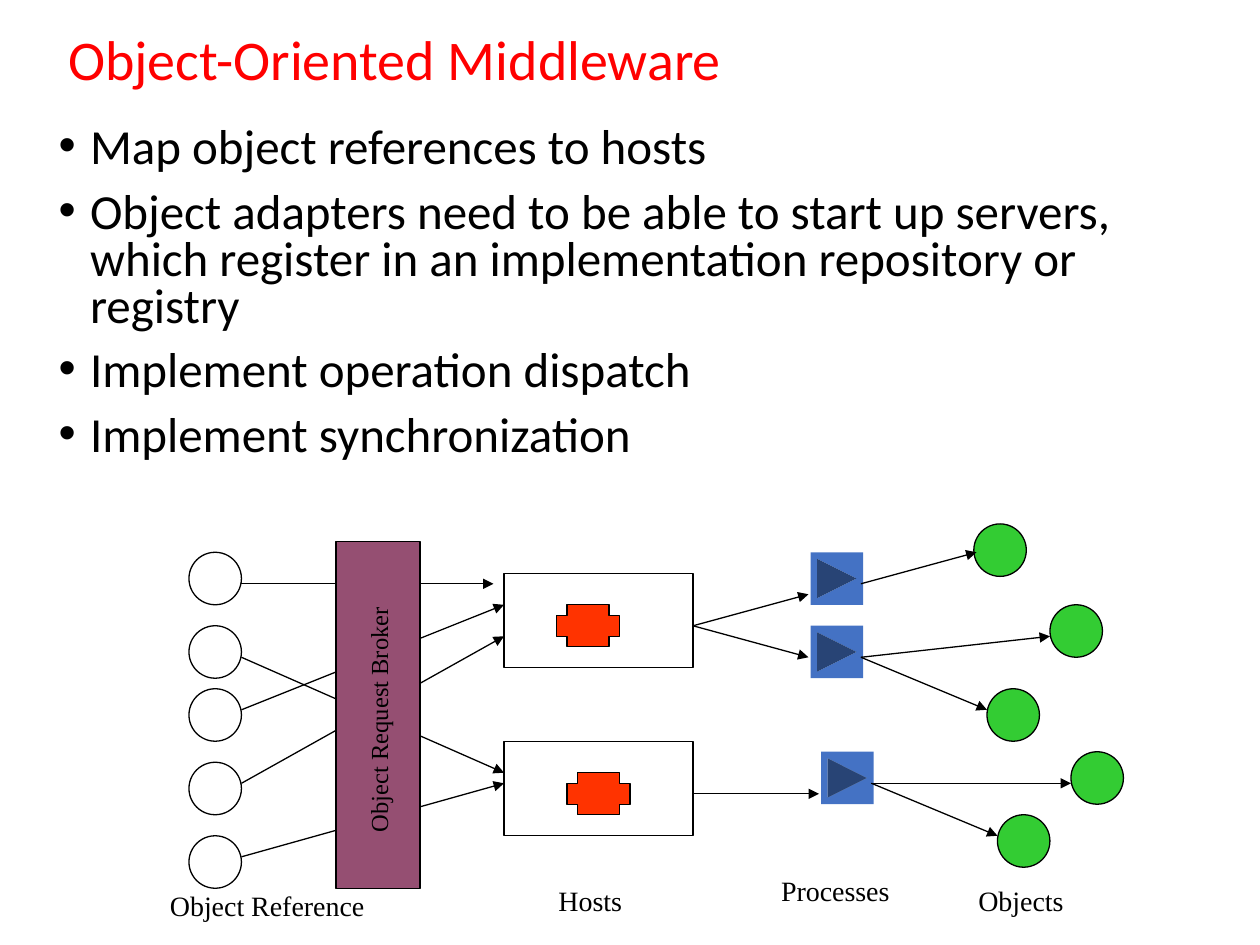
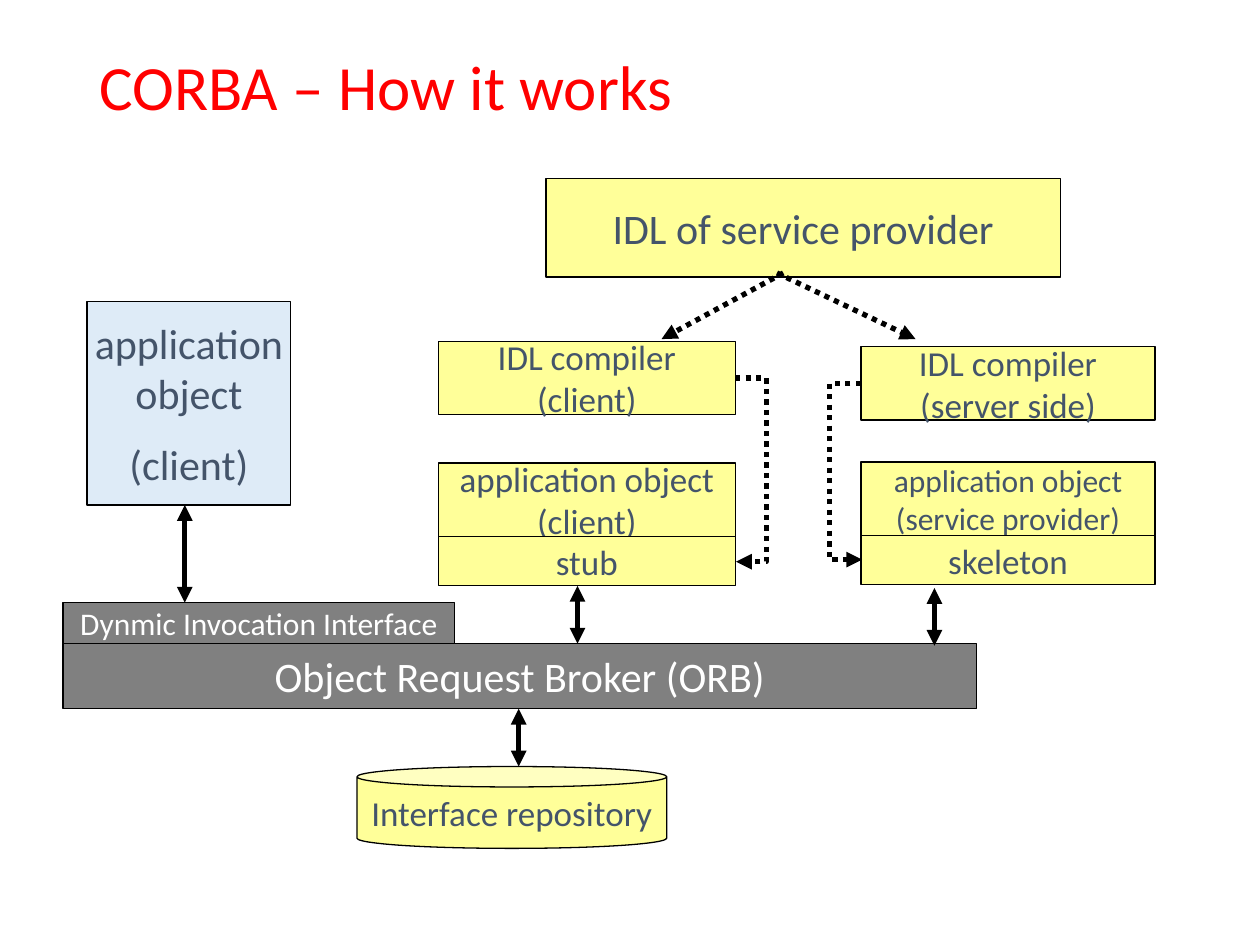
import dataclasses

import lxml.etree
import pptx
import pptx.dml.color
import pptx.enum.dml
import pptx.enum.shapes
import pptx.enum.text
import pptx.oxml.ns
import pptx.util

SHAPE = pptx.enum.shapes.MSO_SHAPE
CONNECTOR = pptx.enum.shapes.MSO_CONNECTOR
ALIGN = pptx.enum.text.PP_ALIGN
ANCHOR = pptx.enum.text.MSO_ANCHOR
Pt = pptx.util.Pt
qn = pptx.oxml.ns.qn


@dataclasses.dataclass(frozen=True)
class Theme:
    """Colours, fonts, type sizes and line widths of the deck."""
    title: str = "FF0000"
    ink: str = "000000"
    slate: str = "44546A"
    white: str = "FFFFFF"
    yellow: str = "FFFF99"
    pale_blue: str = "DEEBF7"
    grey: str = "808080"
    plum: str = "954F72"
    orange: str = "FF3300"
    green: str = "33CC33"
    blue: str = "4472C4"
    sans: str = "Calibri"
    serif: str = "Times New Roman"
    bullet: int = 28
    large: int = 24
    medium: int = 20
    small: int = 18
    caption: int = 16
    upright: int = 14
    thin: float = 0.75
    thick: float = 3


THEME = Theme()
CELL = pptx.util.Inches(1) / 12
COLUMNS, ROWS = 120, 90


@dataclasses.dataclass(frozen=True)
class Region:
    """A box on the slide, measured in grid columns and rows."""
    slide: object
    left: float
    top: float
    width: float
    height: float

    def point(self, col, row):
        """Convert a grid position in the region to slide lengths."""
        return round((self.left + col) * CELL), round((self.top + row) * CELL)

    def place(self, col, row, width, height):
        """Convert a grid box in the region to slide lengths."""
        return (*self.point(col, row), round(width * CELL), round(height * CELL))


def rgb(colour):
    """Turn a hex string into a colour."""
    return pptx.dml.color.RGBColor.from_string(colour)


def write(frame, paragraphs, size, colour, font=THEME.sans, align=ALIGN.LEFT,
          wrap=False, anchor=ANCHOR.MIDDLE, before=0, spacing=None):
    """Fill a text frame; each newline becomes a line break."""
    frame.word_wrap = wrap
    frame.vertical_anchor = anchor
    for index, text in enumerate(paragraphs):
        paragraph = frame.paragraphs[0] if index == 0 else frame.add_paragraph()
        paragraph.alignment = align
        paragraph.space_before = Pt(before)
        if spacing:
            paragraph.line_spacing = spacing
        for number, line in enumerate(text.split("\n")):
            if number:
                paragraph.add_line_break()
            run = paragraph.add_run()
            run.text = line
            run.font.size = Pt(size)
            run.font.name = font
            run.font.color.rgb = rgb(colour)


def draw(region, kind, box, fill=None, outlined=True):
    """Draw a preset shape in a region."""
    shape = region.slide.shapes.add_shape(kind, *region.place(*box))
    shape.shadow.inherit = False
    if fill:
        shape.fill.solid()
        shape.fill.fore_color.rgb = rgb(fill)
    else:
        shape.fill.background()
    if outlined:
        shape.line.color.rgb = rgb(THEME.ink)
        shape.line.width = Pt(THEME.thin)
    else:
        shape.line.fill.background()
    return shape


def block(region, box, paragraphs, size, fill=THEME.yellow, colour=THEME.slate,
          kind=SHAPE.RECTANGLE, before=0):
    """Draw a filled shape with centred text."""
    shape = draw(region, kind, box, fill)
    write(shape.text_frame, paragraphs, size, colour, align=ALIGN.CENTER, before=before)
    return shape


def caption(region, box, text, size=THEME.caption):
    """Place a serif label in a region."""
    label = region.slide.shapes.add_textbox(*region.place(*box))
    write(label.text_frame, [text], size, THEME.ink, THEME.serif, anchor=ANCHOR.TOP)
    return label


def arrow(region, start, end, width=THEME.thin, double=False, dotted=False, bend=None):
    """Draw an arrow, with an elbow at column bend when one is given."""
    kind = CONNECTOR.STRAIGHT if bend is None else CONNECTOR.ELBOW
    link = region.slide.shapes.add_connector(kind, *region.point(*start), *region.point(*end))
    link.line.color.rgb = rgb(THEME.ink)
    link.line.width = Pt(width)
    if dotted:
        link.line.dash_style = pptx.enum.dml.MSO_LINE.ROUND_DOT
    outline = link.get_or_add_ln()
    for tag in ("a:headEnd", "a:tailEnd") if double else ("a:tailEnd",):
        lxml.etree.SubElement(outline, qn(tag), type="triangle")
    properties = link.element.spPr
    lxml.etree.SubElement(properties, qn("a:effectLst"))
    if bend is not None:
        share = round((bend - start[0]) / (end[0] - start[0]) * 100000)
        guides = properties.find(qn("a:prstGeom")).find(qn("a:avLst"))
        lxml.etree.SubElement(guides, qn("a:gd"), name="adj1", fmla=f"val {share}")


def add_title(region, text, size):
    """Write the slide title across its region."""
    heading = region.slide.shapes.add_textbox(*region.place(0, 0, region.width, region.height))
    write(heading.text_frame, [text], size, THEME.title, wrap=True, spacing=0.9)


def add_bullets(region, points):
    """Write a bulleted list across its region."""
    listing = region.slide.shapes.add_textbox(*region.place(0, 0, region.width, region.height))
    write(listing.text_frame, points, THEME.bullet, THEME.ink, wrap=True,
          anchor=ANCHOR.TOP, before=10, spacing=0.8)
    indent = pptx.util.Inches(0.25)
    for paragraph in listing.text_frame.paragraphs:
        properties = paragraph.element.get_or_add_pPr() if hasattr(paragraph, "element") \
            else paragraph._p.get_or_add_pPr()
        properties.set("marL", str(indent))
        properties.set("indent", str(-indent))
        lxml.etree.SubElement(properties, qn("a:buFont"), typeface="Arial")
        lxml.etree.SubElement(properties, qn("a:buChar"), char="•")


def add_dispatch_diagram(region):
    """Draw references passing through the broker to hosts, processes and objects."""
    node = 5
    for row in (2, 9, 15, 22, 29):
        draw(region, SHAPE.OVAL, (3, row, node, node))
    for row, core in ((4, (38, 7)), (20, (39, 23))):
        draw(region, SHAPE.RECTANGLE, (33, row, 18, 9))
        draw(region, SHAPE.CROSS, (*core, 6, 4), THEME.orange)
    for place in ((77.75, -0.7), (87, 21), (85, 7), (79, 15), (80, 27)):
        draw(region, SHAPE.OVAL, (*place, node, node), THEME.green)
    for place in ((62.2, 2), (63.2, 21), (62.2, 9)):
        draw(region, SHAPE.ACTION_BUTTON_FORWARD_OR_NEXT, (*place, node, node),
             THEME.blue, outlined=False)

    routes = {
        (8, 5): [(32, 5)],
        (8, 17): [(33, 7)],
        (8, 24): [(33, 10)],
        (8, 12): [(33, 23)],
        (8, 31): [(33, 24)],
        (51, 9): [(62, 6), (62, 12)],
        (51, 25): [(63, 25)],
        (67, 5): [(78, 2)],
        (67, 12): [(85, 10), (79, 17)],
        (68, 24): [(87, 24), (80, 29)],
    }
    for start, ends in routes.items():
        for end in ends:
            arrow(region, start, end)

    draw(region, SHAPE.RECTANGLE, (17, 1, 8, 33), THEME.plum)
    broker = caption(region, (9.1, 15.9, 23.9, 4), "Object Request Broker", THEME.upright)
    broker.rotation = 270
    for text, col, row, width in (("Object Reference", 0, 33.4, 21), ("Hosts", 37, 33, 8.5),
                                  ("Processes", 58.2, 32, 12.8), ("Objects", 77, 33, 10.6)):
        caption(region, (col, row, width, 4.4), text)


def add_idl_stack(region, compiler, application, adapter, size):
    """Stack a compiler above an application object and its adapter."""
    width = region.width
    block(region, (0, 0, width, 7), [compiler], THEME.medium)
    block(region, (0, region.height - 11.7, width, 7), [application], size)
    block(region, (0, region.height - 4.7, width, 4.7), [adapter], THEME.medium)


def add_corba_diagram(region):
    """Draw the CORBA parts around the request broker."""
    slide, left, top = region.slide, region.left, region.top
    block(region, (46, 0, 49, 9.4), ["IDL of service provider"], THEME.large)
    block(region, (2.3, 11.7, 19.4, 19.4), ["application\nobject", "(client)"], THEME.large,
          THEME.pale_blue, before=12)
    block(region, (0, 44.3, 87, 6.2), ["Object Request Broker (ORB)"], THEME.large,
          THEME.grey, THEME.white, before=12)
    block(region, (0, 40.4, 37.3, 3.9), ["Dynmic Invocation Interface"], THEME.small,
          THEME.grey, THEME.white)
    block(region, (28, 56, 29.5, 7.8), ["Interface repository"], THEME.medium, kind=SHAPE.CAN)

    add_idl_stack(Region(slide, left + 35.75, top + 15.5, 28.3, 23.3),
                  "IDL compiler\n(client)", "application object\n(client)", "stub", THEME.medium)
    add_idl_stack(Region(slide, left + 76, top + 16, 28, 22.7),
                  "IDL compiler\n(server side)", "application object\n(service provider)",
                  "skeleton", THEME.small)

    for col, upper, lower in ((11.6, 31.1, 40.4), (43.4, 50.5, 56),
                              (49, 38.8, 44.3), (83, 39, 44.5)):
        arrow(region, (col, upper), (col, lower), THEME.thick, double=True)
    for start, end, bend in (((68.6, 9), (57, 15.3), None), ((68, 9), (81.2, 15.3), None),
                             ((64, 19), (64.1, 36.5), 67), ((76, 19.5), (76.1, 36.3), 73)):
        arrow(region, start, end, THEME.thick, dotted=True, bend=bend)


def middleware_slide(slide):
    """Lay out the object-oriented middleware slide."""
    add_title(Region(slide, 5.3, 1.7, 103.4, 8.5), "Object-Oriented Middleware", 32)
    add_bullets(Region(slide, 4.4, 11.5, 110.3, 35.2), [
        "Map object references to hosts",
        "Object adapters need to be able to start up servers, which register in an "
        "implementation repository or registry",
        "Implement operation dispatch",
        "Implement synchronization",
    ])
    add_dispatch_diagram(Region(slide, 15, 50.6, 92, 38))


def corba_slide(slide):
    """Lay out the CORBA slide."""
    add_title(Region(slide, 8.3, 3.2, 103.4, 10.7), "CORBA – How it works", 36)
    add_corba_diagram(Region(slide, 6, 17, 104, 64))


def main():
    """Build and save the deck."""
    deck = pptx.Presentation()
    deck.slide_width, deck.slide_height = round(COLUMNS * CELL), round(ROWS * CELL)
    for build in (middleware_slide, corba_slide):
        build(deck.slides.add_slide(deck.slide_layouts[6]))
    deck.save("out.pptx")


if __name__ == "__main__":
    main()
